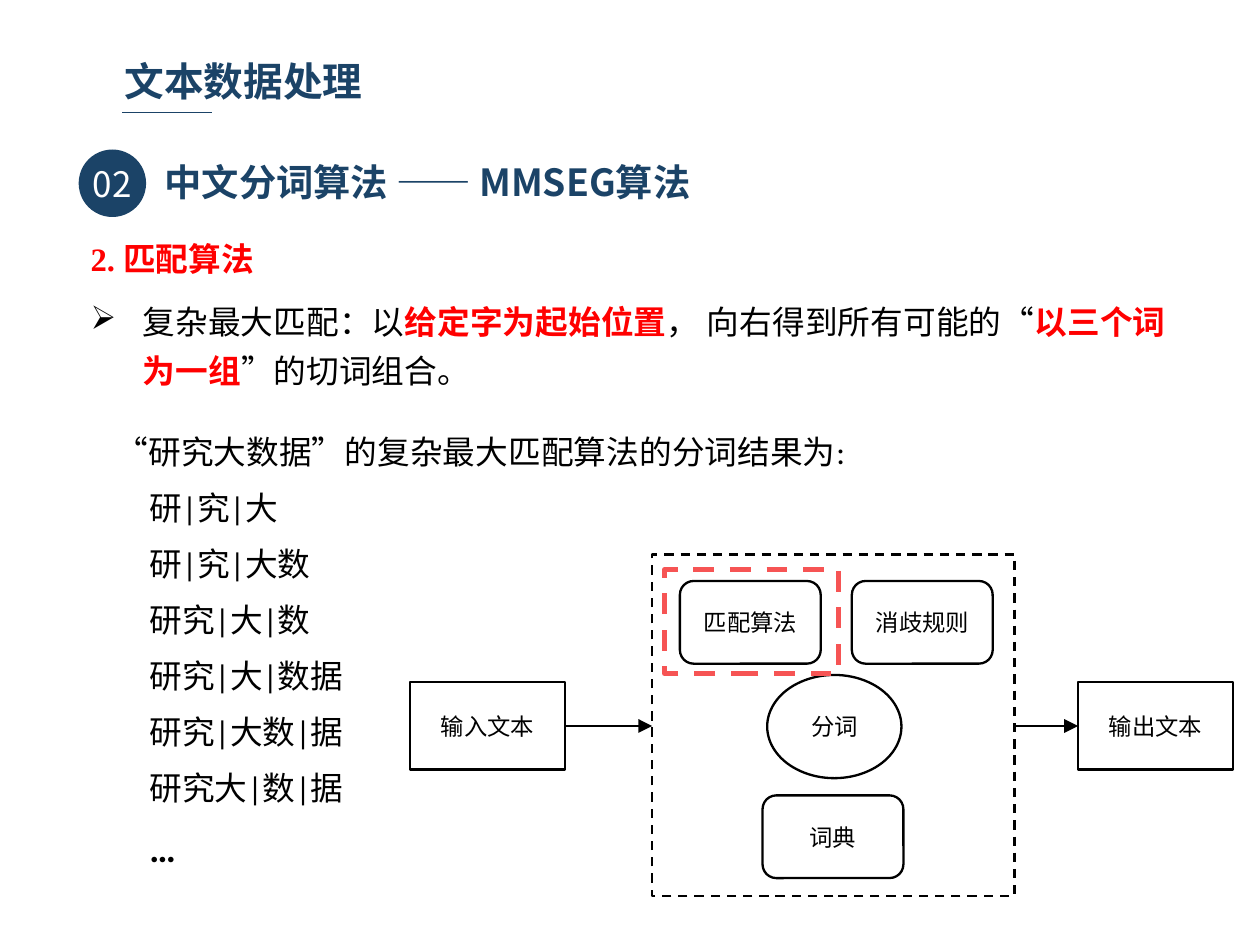
from lxml import etree
from pptx import Presentation, util as u
from pptx.dml.color import RGBColor
from pptx.enum import dml, shapes, text
from pptx.oxml.ns import qn

NAVY = RGBColor(0x1B, 0x43, 0x67)
RED = RGBColor(0xFF, 0x00, 0x00)
CORAL = RGBColor(0xF6, 0x54, 0x54)
BLACK = RGBColor(0x00, 0x00, 0x00)
WHITE = RGBColor(0xFF, 0xFF, 0xFF)
SANS, BODY, SERIF = "Noto Sans CJK SC", "Calibri", "Times New Roman"
RECT = shapes.MSO_SHAPE.RECTANGLE
ROUNDED = shapes.MSO_SHAPE.ROUNDED_RECTANGLE
OVAL = shapes.MSO_SHAPE.OVAL


class SlideBuilder:
    def __init__(self, slide):
        self.slide = slide

    def style(self, font, size, color=BLACK, name=BODY, bold=False):
        font.size, font.name, font.bold = u.Pt(size), name, bold
        font.color.rgb = color

    def text_box(self, left, top, width, height, inset=(0.25, 0.13), wrap=True):
        box = self.slide.shapes.add_textbox(*map(u.Cm, (left, top, width, height)))
        frame = box.text_frame
        frame.word_wrap = wrap
        frame.margin_left = frame.margin_right = u.Cm(inset[0])
        frame.margin_top = frame.margin_bottom = u.Cm(inset[1])
        return frame

    def title(self, words, size, *place, wrap=True):
        para = self.text_box(*place, inset=(0.18, 0.1), wrap=wrap).paragraphs[0]
        para.text = words
        self.style(para.font, size, NAVY, SANS, True)

    def paragraph(self, para, parts, size=14, color=BLACK, name=BODY, bold=False,
                  before=0, spacing=None, indent=0, bullet=None):
        """Fill para; every second item of parts is emphasised in bold red."""
        self.style(para.font, size, color, name, bold)
        para.space_before = u.Pt(before)
        if spacing:
            para.line_spacing = spacing
        for index, words in enumerate(parts):
            span = para.add_run()
            span.text = words
            if index % 2:
                self.style(span.font, size, RED, name, True)
        props = para._p.get_or_add_pPr()
        props.set("marL", str(u.Cm(indent)))
        if bullet:
            props.set("indent", str(-u.Cm(indent)))
            mark = etree.Element(qn("a:buChar"), char=bullet)
            props.find(qn("a:defRPr")).addprevious(mark)

    def shape(self, kind, left, top, width, height, fill=None, line=None,
              weight=1, dashed=False):
        shape = self.slide.shapes.add_shape(kind, *map(u.Cm, (left, top, width, height)))
        shape.shadow.inherit = False
        if fill is None:
            shape.fill.background()
        else:
            shape.fill.solid()
            shape.fill.fore_color.rgb = fill
        if line is None:
            shape.line.fill.background()
        else:
            shape.line.color.rgb = line
            shape.line.width = u.Pt(weight)
        if dashed:
            shape.line.dash_style = dml.MSO_LINE.DASH
        return shape

    def label(self, shape, words, size=10, color=BLACK, name=BODY):
        frame = shape.text_frame
        frame.margin_left = frame.margin_right = 0
        frame.margin_top = frame.margin_bottom = 0
        frame.word_wrap = False
        frame.vertical_anchor = text.MSO_ANCHOR.MIDDLE
        para = frame.paragraphs[0]
        para.text = words
        para.alignment = text.PP_ALIGN.CENTER
        self.style(para.font, size, color, name)

    def node(self, kind, words, *place, name=BODY):
        self.label(self.shape(kind, *place, fill=WHITE, line=BLACK), words, name=name)

    def horizontal(self, start, end, y, color=BLACK, weight=1, arrow=False):
        line = self.slide.shapes.add_connector(
            shapes.MSO_CONNECTOR.STRAIGHT, *map(u.Cm, (start, y, end, y)))
        line.line.color.rgb = color
        line.line.width = u.Pt(weight)
        if arrow:
            etree.SubElement(line.line._get_or_add_ln(), qn("a:tailEnd"), type="triangle")
        etree.SubElement(line._element.spPr, qn("a:effectLst"))


def add_headings(page):
    page.title("文本数据处理", 17, 1.7, 0.76, 5.18, 0.91)
    page.horizontal(1.85, 3.2, 1.7, NAVY, 0.75)
    page.title("中文分词算法 —— MMSEG算法", 16, 2.31, 2.31, 8.79, 0.89, wrap=False)
    badge = page.shape(OVAL, 1.19, 2.26, 1.02, 1.02, fill=NAVY)
    page.label(badge, "02", 15, WHITE, SANS)


def add_explanation(page):
    frame = page.text_box(1.12, 3.33, 16.81, 2.72)
    page.paragraph(frame.paragraphs[0], ["2. 匹配算法"], color=RED, name=SERIF,
                   bold=True, before=6, spacing=1.25)
    page.paragraph(frame.add_paragraph(),
                   ["复杂最大匹配：以", "给定字为起始位置", "， 向右得到所有可能的“",
                    "以三个词为一组", "”的切词组合。"],
                   before=6, spacing=1.25, indent=0.79, bullet="➢")


def add_results(page):
    frame = page.text_box(1.5, 6.39, 11.79, 6.94)
    page.paragraph(frame.paragraphs[0], ["“研究大数据”的复杂最大匹配算法的分词结果为:"])
    listed = dict(before=3, spacing=1.25, indent=0.51)
    for words in ("研|究|大", "研|究|大数", "研究|大|数", "研究|大|数据",
                  "研究|大数|据", "研究大|数|据"):
        page.paragraph(frame.add_paragraph(), [words], **listed)
    page.paragraph(frame.add_paragraph(), ["…"], size=16, bold=True, **listed)


def add_flow(page):
    for words, left in (("输入文本", 6.2), ("输出文本", 16.3)):
        page.node(RECT, words, left, 10.31, 2.34, 1.32, name=SERIF)
    for words, left, top in (("匹配算法", 10.28, 8.78), ("消歧规则", 12.88, 8.78),
                             ("词典", 11.53, 12.02)):
        page.node(ROUNDED, words, left, top, 2.13, 1.25)
    page.node(OVAL, "分词", 11.6, 10.2, 2.03, 1.56, name=SERIF)
    page.shape(RECT, 9.86, 8.38, 5.48, 5.16, line=BLACK, dashed=True)
    for start, end in ((8.55, 9.86), (15.34, 16.3)):
        page.horizontal(start, end, 10.97, arrow=True)
    page.shape(RECT, 10.05, 8.61, 2.63, 1.57, line=CORAL, weight=2.25, dashed=True)


def main():
    deck = Presentation()
    deck.slide_width, deck.slide_height = u.Cm(19.05), u.Cm(14.28)
    page = SlideBuilder(deck.slides.add_slide(deck.slide_layouts[6]))
    add_results(page)
    add_explanation(page)
    add_headings(page)
    add_flow(page)
    deck.save("out.pptx")


if __name__ == "__main__":
    main()
